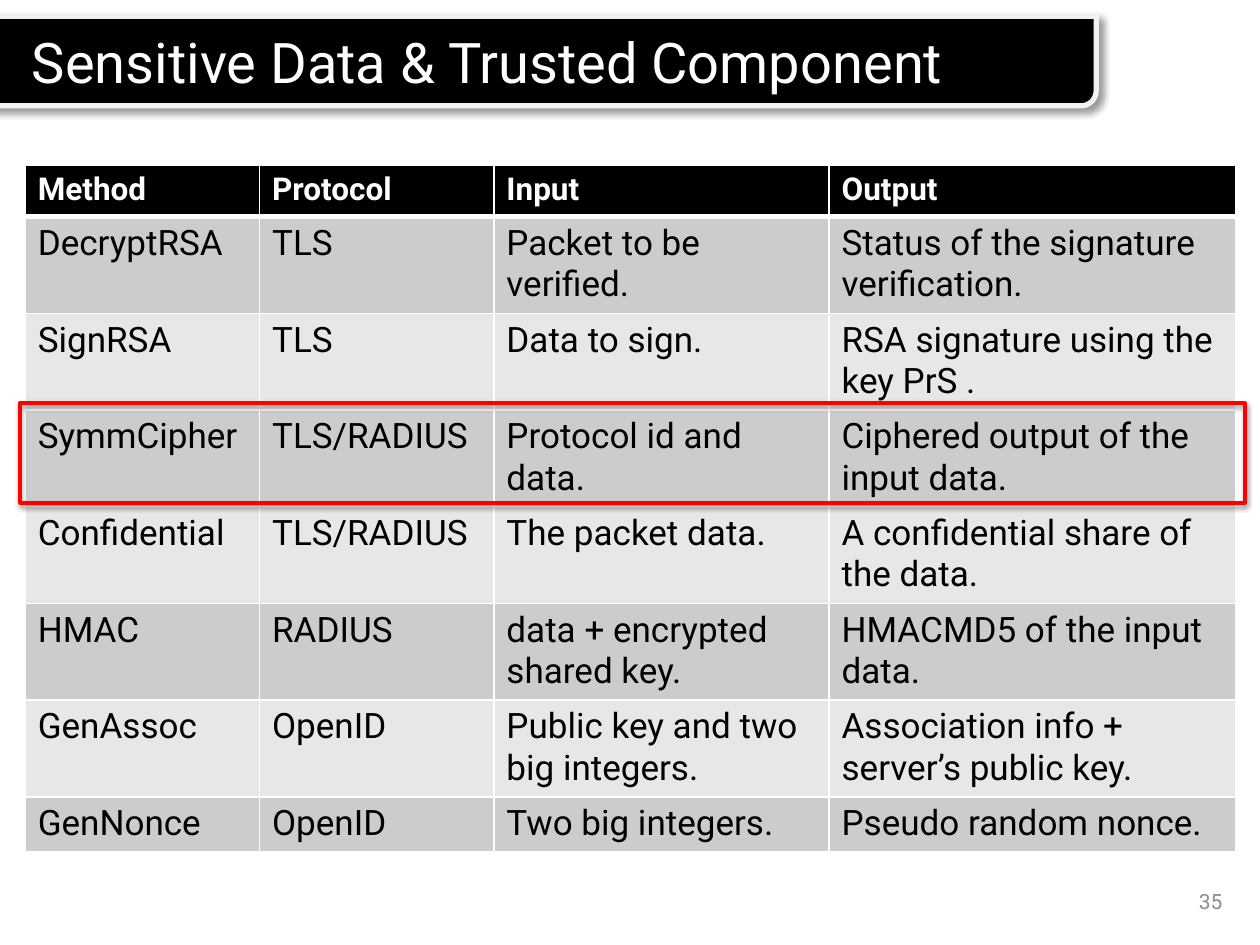
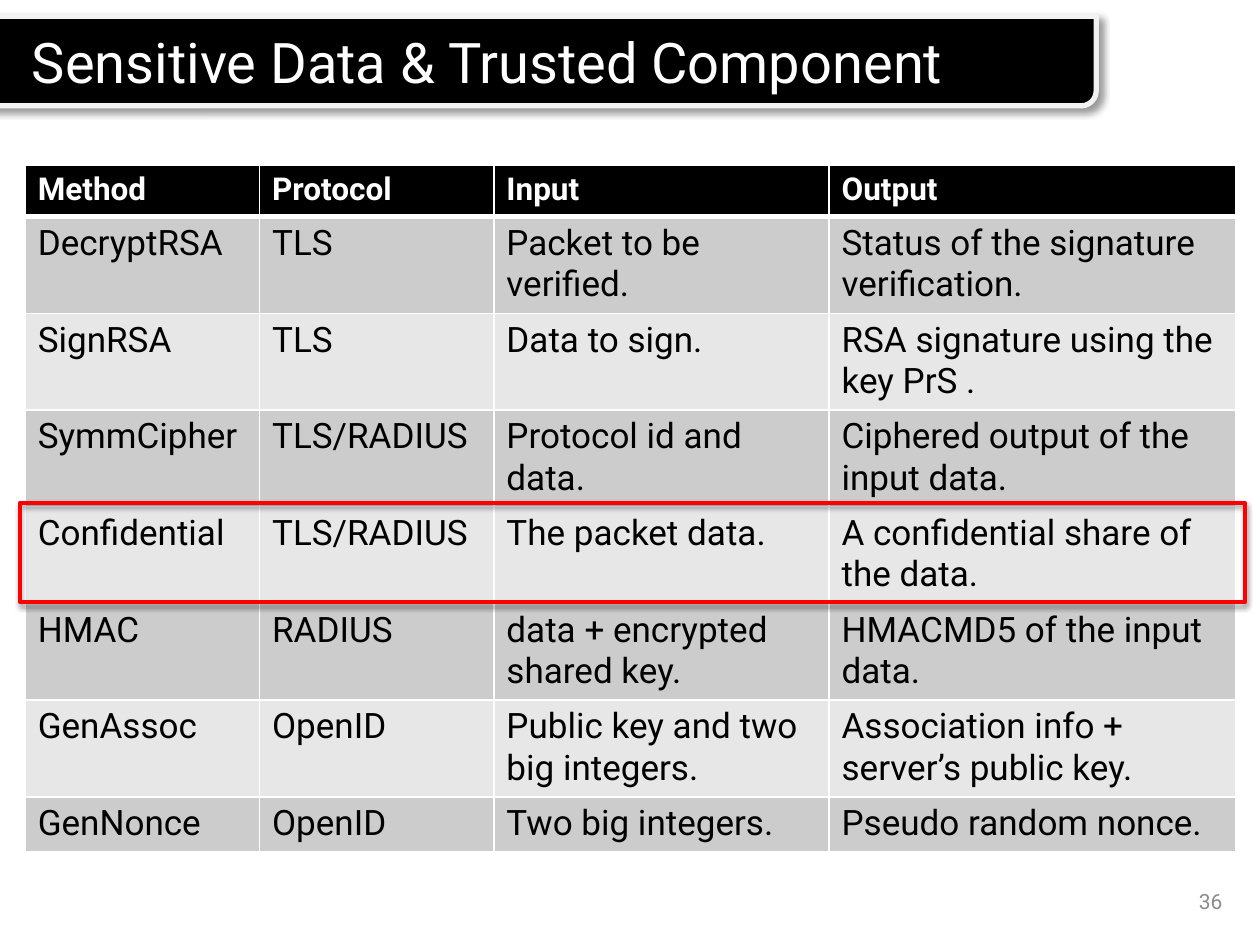
from dataclasses import dataclass

from lxml import etree
from pptx import Presentation
from pptx.dml.color import RGBColor
from pptx.enum import shapes, text
from pptx.oxml import ns
from pptx.util import Inches, Pt


@dataclass(frozen=True)
class Theme:
    font: str = "Roboto"
    black: str = "000000"
    white: str = "FFFFFF"
    band_edge: str = "F2F2F2"
    dark_row: str = "CCCCCC"
    light_row: str = "E7E7E7"
    highlight: str = "FF0000"
    page_number: str = "8C8C8C"
    title_size: int = 32
    header_size: int = 18
    body_size: int = 20
    number_size: int = 12


@dataclass(frozen=True)
class Box:
    left: float
    top: float
    width: float
    height: float

    def inches(self):
        return [Inches(v) for v in (self.left, self.top, self.width, self.height)]


@dataclass(frozen=True)
class Shadow:
    opacity: int
    blur: float
    distance: float
    angle: int


@dataclass(frozen=True)
class Page:
    number: int
    highlighted_method: str


THEME = Theme()
TITLE = "Sensitive Data & Trusted Component"
TITLE_BOX = Box(-0.38, 0.13, 9.08, 0.71)
NUMBER_BOX = Box(7.47, 6.95, 2.33, 0.4)
COLUMN_WIDTHS = (1.86, 1.86, 2.66, 3.23)
ROW_HEIGHT = 0.41
HIGHLIGHT_HEIGHT = 0.79
FIRST_METHOD_TOP = 1.62  # top of the highlight if it were on the first method

HEADINGS = ("Method", "Protocol", "Input", "Output")
METHODS = (
    ("DecryptRSA", "TLS", "Packet to be verified.", "Status of the signature verification."),
    ("SignRSA", "TLS", "Data to sign.", "RSA signature using the key PrS ."),
    ("SymmCipher", "TLS/RADIUS", "Protocol id and data.", "Ciphered output of the input data."),
    ("Confidential", "TLS/RADIUS", "The packet data.", "A confidential share of the data."),
    ("HMAC", "RADIUS", "data + encrypted shared key.", "HMACMD5 of the input data."),
    ("GenAssoc", "OpenID", "Public key and two big integers.", "Association info + server’s public key."),
    ("GenNonce", "OpenID", "Two big integers.", "Pseudo random nonce."),
)
PAGES = (Page(35, "SymmCipher"), Page(36, "Confidential"))


def write(paragraph, words: str, size: int, color: str, bold: bool = False) -> None:
    paragraph.text = words
    font = paragraph.font
    font.name, font.size, font.bold = THEME.font, Pt(size), bold
    font.color.rgb = RGBColor.from_string(color)


def add_xml(parent, tag: str, **attributes):
    values = {name: str(value) for name, value in attributes.items()}
    return etree.SubElement(parent, ns.qn(tag), values)


def outline(shape, color: str, width: float, shadow: Shadow) -> None:
    shape.line.color.rgb = RGBColor.from_string(color)
    shape.line.width = Pt(width)
    shape.shadow.inherit = False
    effects = shape.element.spPr.find(ns.qn("a:effectLst"))
    outer = add_xml(effects, "a:outerShdw", blurRad=Pt(shadow.blur), dist=Pt(shadow.distance),
                    dir=shadow.angle * 60000, algn="ctr", rotWithShape=0)
    shade = add_xml(outer, "a:srgbClr", val=THEME.black)
    add_xml(shade, "a:alpha", val=shadow.opacity * 1000)


def add_number(slide, number: int) -> None:
    frame = slide.shapes.add_textbox(*NUMBER_BOX.inches()).text_frame
    frame.word_wrap = True
    frame.vertical_anchor = text.MSO_ANCHOR.MIDDLE
    frame.paragraphs[0].alignment = text.PP_ALIGN.RIGHT
    write(frame.paragraphs[0], str(number), THEME.number_size, THEME.page_number)


def add_title(slide) -> None:
    band = slide.shapes.add_shape(shapes.MSO_SHAPE.ROUND_2_DIAG_RECTANGLE, *TITLE_BOX.inches())
    band.fill.solid()
    band.fill.fore_color.rgb = RGBColor.from_string(THEME.black)
    outline(band, THEME.band_edge, 3, Shadow(40, 4, 3, 45))
    band.text_frame.word_wrap = True
    band.text_frame.vertical_anchor = text.MSO_ANCHOR.MIDDLE
    title = band.text_frame.paragraphs[0]
    title.level = 1
    title.alignment = text.PP_ALIGN.LEFT
    indent = title._p.get_or_add_pPr()
    indent.set("marL", str(Inches(0.5)))
    indent.set("indent", "0")
    write(title, TITLE, THEME.title_size, THEME.white)


def style_cell(cell, fill: str, top: float, bottom: float) -> None:
    properties = cell._tc.get_or_add_tcPr()
    for side, width in (("L", 1), ("R", 1), ("T", top), ("B", bottom)):
        line = add_xml(properties, f"a:ln{side}", w=Pt(width))
        add_xml(add_xml(line, "a:solidFill"), "a:srgbClr", val=THEME.white)
    cell.fill.solid()
    cell.fill.fore_color.rgb = RGBColor.from_string(fill)


def add_methods(slide) -> None:
    rows = (HEADINGS, *METHODS)
    box = Box(0.2, 1.31, sum(COLUMN_WIDTHS), ROW_HEIGHT * len(rows))
    table = slide.shapes.add_table(len(rows), len(HEADINGS), *box.inches()).table
    for column, width in zip(table.columns, COLUMN_WIDTHS):
        column.width = Inches(width)
    for r, entries in enumerate(rows):
        table.rows[r].height = Inches(ROW_HEIGHT)
        header = r == 0
        fill = THEME.black if header else THEME.dark_row if r % 2 else THEME.light_row
        size = THEME.header_size if header else THEME.body_size
        color = THEME.white if header else THEME.black
        for c, entry in enumerate(entries):
            cell = table.cell(r, c)
            # The heavy rule lies between the header and the first method
            style_cell(cell, fill, top=3 if r == 1 else 1, bottom=3 if header else 1)
            write(cell.text_frame.paragraphs[0], entry, size, color, header)


def add_highlight(slide, method: str) -> None:
    position = [row[0] for row in METHODS].index(method)
    box = Box(0.16, FIRST_METHOD_TOP + position * HIGHLIGHT_HEIGHT, 9.72, HIGHLIGHT_HEIGHT)
    frame = slide.shapes.add_shape(shapes.MSO_SHAPE.RECTANGLE, *box.inches())
    frame.fill.background()
    outline(frame, THEME.highlight, 2.25, Shadow(38, 3.1, 1.6, 90))


def main() -> None:
    deck = Presentation()
    deck.slide_width, deck.slide_height = Inches(10), Inches(7.5)
    for page in PAGES:
        slide = deck.slides.add_slide(deck.slide_layouts[6])
        add_number(slide, page.number)
        add_title(slide)
        add_methods(slide)
        add_highlight(slide, page.highlighted_method)
    deck.save("out.pptx")


if __name__ == "__main__":
    main()
